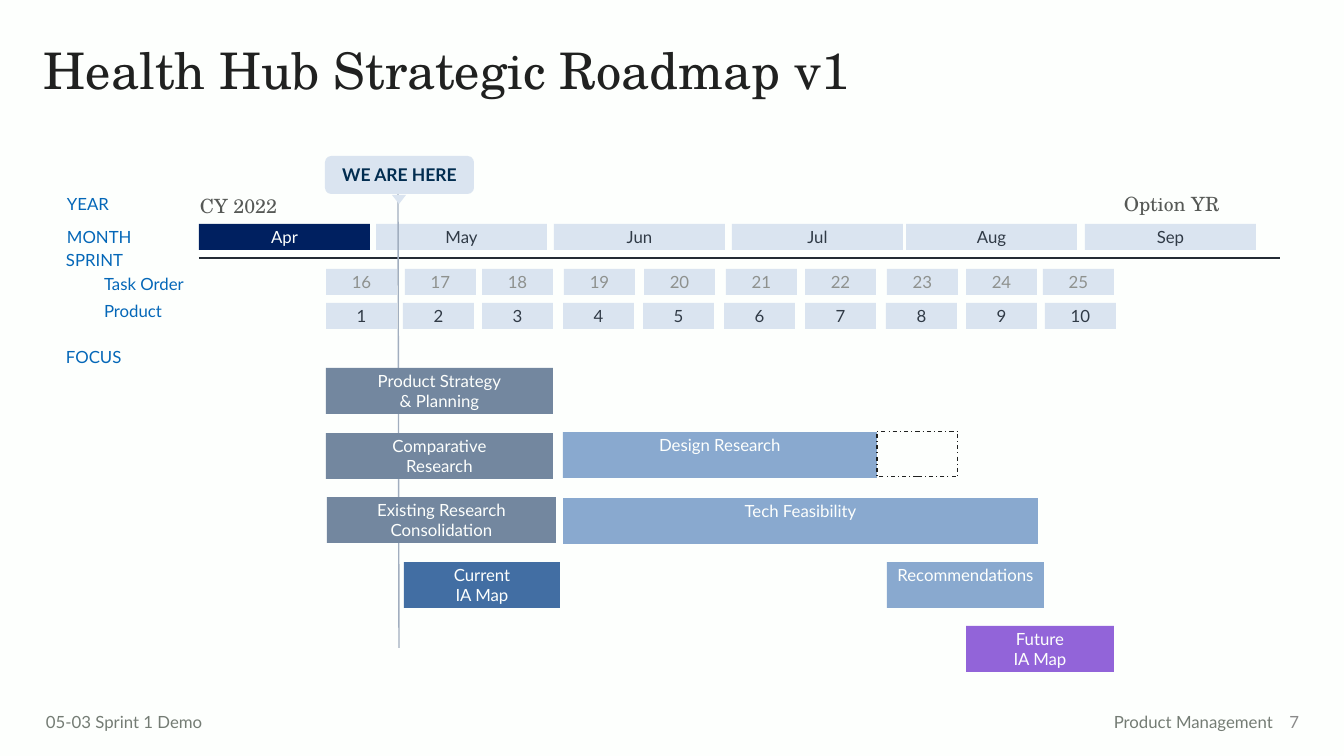
import pptx
import pptx.util
import pptx.dml.color
import pptx.enum.dml
import pptx.enum.shapes
import pptx.enum.text
import pptx.oxml

SHAPE = pptx.enum.shapes.MSO_SHAPE
ALIGN = pptx.enum.text.PP_ALIGN
ANCHOR = pptx.enum.text.MSO_ANCHOR
SANS, SERIF = "Lato", "TeX Gyre Schola"
PALE, WHITE, INK, NAVY = "DAE4F0", "FDFFFD", "303A46", "002060"
SLATE, SKY, BLUE, VIOLET = "73879F", "89A9CF", "426EA3", "9264D9"
PX = 914400 / 100.8
TIGHT = (3, 3)
ROOMY = (10, 5)

# text, left, top
LABELS = [
    ("YEAR", 67, 194), ("MONTH", 67, 227), ("SPRINT", 66, 250),
    ("Task Order", 104, 274), ("Product", 104, 301), ("FOCUS", 66, 347),
]
YEARS = [("CY 2022", 190, 189), ("Option YR", 1114, 187)]
MONTHS = [("Apr", 199), ("May", 376), ("Jun", 554), ("Jul", 732),
          ("Aug", 906), ("Sep", 1085)]
# first number, top, text colour, lefts
SPRINTS = [
    (16, 269, "8E918E", [326, 405, 482, 564, 644, 726, 805, 887, 966, 1043]),
    (1, 303, INK, [326, 403, 482, 563, 643, 724, 805, 886, 966, 1045]),
]
# lines, left, top, width, fill
FOCUS = [
    (["Product Strategy", "& Planning"], 326, 368, 227, SLATE),
    (["Comparative", "Research"], 326, 433, 227, SLATE),
    (["Design Research"], 563, 432, 314, SKY),
    (["Existing Research Consolidation"], 327, 497, 229, SLATE),
    (["Tech Feasibility"], 563, 498, 475, SKY),
    (["Current", "IA Map"], 404, 562, 156, BLUE),
    (["Recommendations"], 887, 562, 157, SKY),
    (["Future", "IA Map"], 966, 626, 148, VIOLET),
]


def emu(*px):
    return [pptx.util.Emu(round(n * PX)) for n in px]


def rgb(code):
    return pptx.dml.color.RGBColor.from_string(code)


def write(shape, lines, size, color, font=SANS, align=ALIGN.LEFT,
          anchor=ANCHOR.TOP, pad=(0, 0), bold=False, space=None):
    """Fill a shape's frame, one paragraph per line; pad is (side, top)."""
    frame = shape.text_frame
    frame.word_wrap = True
    frame.vertical_anchor = anchor
    side, top = emu(*pad)
    frame.margin_left = frame.margin_right = side
    frame.margin_top = frame.margin_bottom = top
    for i, line in enumerate(lines):
        para = frame.add_paragraph() if i else frame.paragraphs[0]
        para.alignment = align
        para.line_spacing = space
        run = para.add_run()
        run.text = line
        run.font.name = font
        run.font.size = pptx.util.Pt(size)
        run.font.bold = bold
        run.font.color.rgb = rgb(color)


def label(box, text, size, color, **style):
    write(slide.shapes.add_textbox(*emu(*box)), [text], size, color, **style)


def block(box, fill=None, kind=SHAPE.RECTANGLE):
    shape = slide.shapes.add_shape(kind, *emu(*box))
    shape.shadow.inherit = False
    shape.line.fill.background()
    if fill:
        shape.fill.solid()
        shape.fill.fore_color.rgb = rgb(fill)
    else:
        shape.fill.background()
    return shape


def bar(box, lines, fill, color=WHITE):
    write(block(box, fill), lines, 12, color, align=ALIGN.CENTER, pad=TIGHT)


def rule(ends, color, width):
    line = slide.shapes.add_connector(
        pptx.enum.shapes.MSO_CONNECTOR.STRAIGHT, *emu(*ends))
    line.line.color.rgb = rgb(color)
    line.line.width = pptx.util.Pt(width)
    line._element.spPr.append(pptx.oxml.parse_xml(
        '<a:effectLst xmlns:a='
        '"http://schemas.openxmlformats.org/drawingml/2006/main"/>'))


deck = pptx.Presentation()
deck.slide_width, deck.slide_height = emu(1344, 756)
slide = deck.slides.add_slide(deck.slide_layouts[6])
slide.background.fill.solid()
slide.background.fill.fore_color.rgb = rgb(WHITE)

label((34, 41, 1252, 83), "Health Hub Strategic Roadmap v1", 36, "202120",
      font=SERIF, pad=ROOMY, space=0.9)
for text, left, top in LABELS:
    label((left, top, 103, 20), text, 12, "0467B8")
for text, left, top in YEARS:
    label((left, top, 200, 34), text, 14, "565956", font=SERIF, pad=ROOMY)

rule((199, 258, 1280, 258), "232B34", 0.75)
for i, (month, left) in enumerate(MONTHS):
    fill, color = (PALE, INK) if i else (NAVY, WHITE)
    bar((left, 224, 171, 26), [month], fill, color)
for first, top, color, lefts in SPRINTS:
    for number, left in enumerate(lefts, first):
        bar((left, top, 71, 26), [str(number)], PALE, color)

rule((398, 177, 399, 648), "A1AEBF", 1)
here = block((325, 156, 149, 38), PALE, SHAPE.ROUNDED_RECTANGLE)
write(here, ["WE ARE HERE"], 12.5, "022D50", align=ALIGN.CENTER,
      anchor=ANCHOR.MIDDLE, pad=ROOMY, bold=True)
block((392, 195, 14, 9), PALE, SHAPE.ISOSCELES_TRIANGLE).rotation = 180

for lines, left, top, width, fill in FOCUS:
    bar((left, top, width, 46), lines, fill)
option = block((877, 431, 81, 46))
option.line.color.rgb = rgb("202120")
option.line.width = pptx.util.Pt(0.75)
option.line.dash_style = pptx.enum.dml.MSO_LINE.DASH_DOT

label((46, 707, 300, 30), "05-03 Sprint 1 Demo", 12, "747C74", pad=(0, 5))
label((983, 707, 300, 30), "Product Management", 12, "747C74",
      align=ALIGN.RIGHT, pad=ROOMY)
label((1265, 702, 44, 40), "7", 12, "8A8A8A", align=ALIGN.RIGHT,
      anchor=ANCHOR.MIDDLE, pad=ROOMY)

deck.save("out.pptx")
